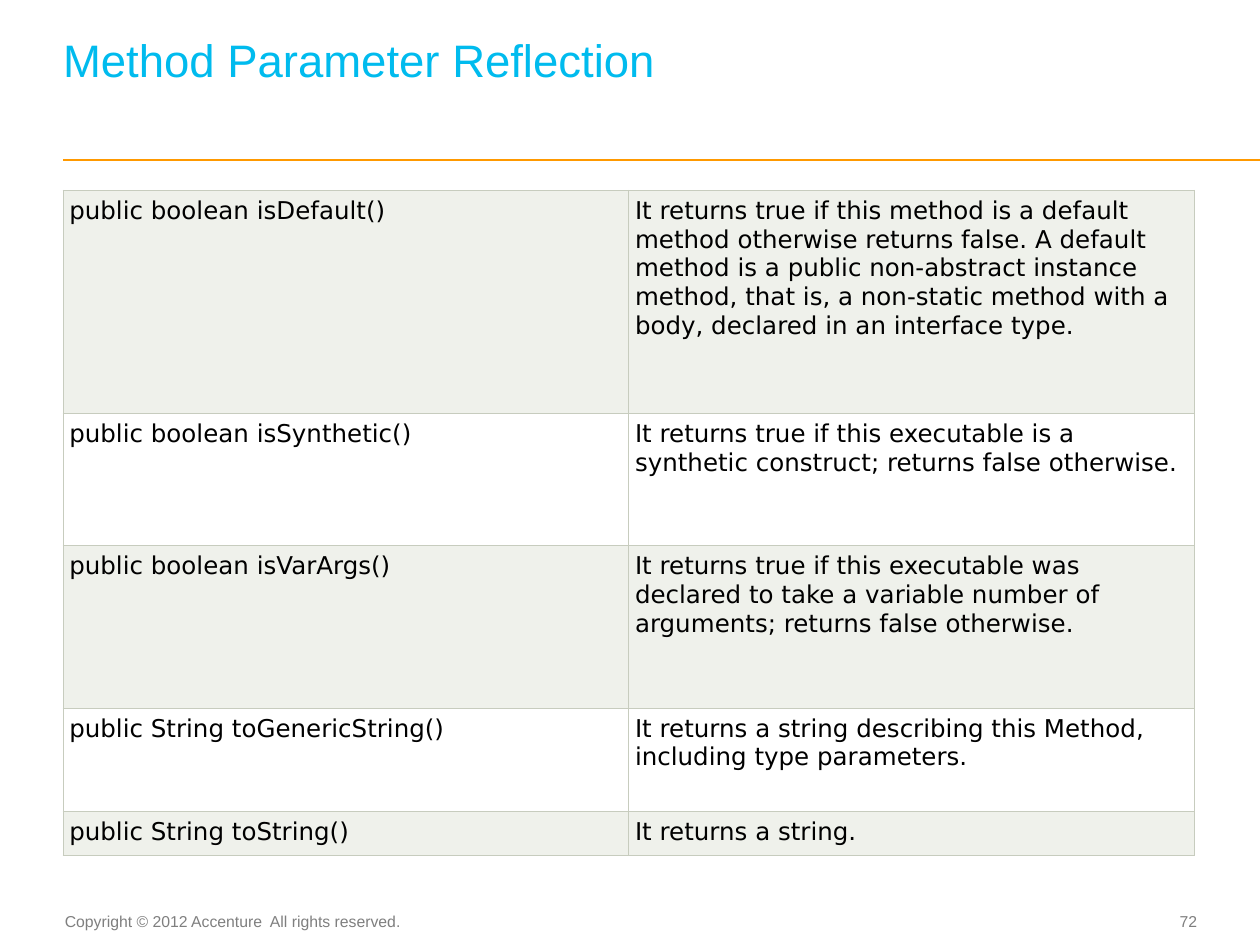
from lxml import etree
from pptx import Presentation
from pptx.dml.color import RGBColor
from pptx.enum.shapes import MSO_CONNECTOR
from pptx.enum.text import MSO_ANCHOR, PP_ALIGN
from pptx.oxml.ns import qn
from pptx.util import Inches, Pt

LEFT, CENTER, RIGHT = PP_ALIGN.LEFT, PP_ALIGN.CENTER, PP_ALIGN.RIGHT
TOP, MIDDLE, BOTTOM = MSO_ANCHOR.TOP, MSO_ANCHOR.MIDDLE, MSO_ANCHOR.BOTTOM
STRAIGHT = MSO_CONNECTOR.STRAIGHT

COLORS = {
    "title": "00BBEE", "rule": "FF9900", "footer": "7F7F7F", "text": "000000",
    "band": "EFF1EB", "plain": "FFFFFF", "border": "C7CCBE",
}
TITLE = "Method Parameter Reflection"
COPYRIGHT = "Copyright © 2012 Accenture  All rights reserved."
PAGE = "72"
METHODS = [
    ("public boolean isDefault()",
     "It returns true if this method is a default method otherwise returns false. "
     "A default method is a public non-abstract instance method, that is, "
     "a non-static method with a body, declared in an interface type.", 1.77),
    ("public boolean isSynthetic()",
     "It returns true if this executable is a synthetic construct; "
     "returns false otherwise.", 1.05),
    ("public boolean isVarArgs()",
     "It returns true if this executable was declared to take a variable number "
     "of arguments; returns false otherwise.", 1.29),
    ("public String toGenericString()",
     "It returns a string describing this Method, including type parameters.", 0.82),
    ("public String toString()", "It returns a string.", 0.35),
]


def rgb(name):
    return RGBColor.from_string(COLORS[name])


def write(tf, text, size=14, font="DejaVu Sans", color="text", align=LEFT, spacing=None):
    p = tf.paragraphs[0]
    p.alignment = align
    if spacing:
        p.line_spacing = Pt(spacing)
    r = p.add_run()
    r.text = text
    r.font.size, r.font.name = Pt(size), font
    r.font.color.rgb = rgb(color)


def set_frame(tf, insets, anchor):
    tf.word_wrap = True
    tf.vertical_anchor = anchor
    tf.margin_left, tf.margin_top, tf.margin_right, tf.margin_bottom = map(Inches, insets)


def add_footer(s, box, text, insets, anchor, align):
    tf = s.shapes.add_textbox(*map(Inches, box)).text_frame
    set_frame(tf, insets, anchor)
    write(tf, text, size=9, font="Arial", color="footer", align=align)


def add_borders(cell):
    tcPr = cell._tc.get_or_add_tcPr()
    for side in ("lnL", "lnR", "lnT", "lnB"):
        ln = etree.SubElement(tcPr, qn("a:" + side), w=str(Pt(0.6)))
        fill = etree.SubElement(ln, qn("a:solidFill"))
        etree.SubElement(fill, qn("a:srgbClr"), val=COLORS["border"])


def add_methods(s):
    height = sum(m[2] for m in METHODS)
    table = s.shapes.add_table(len(METHODS), 2, Inches(0.5), Inches(1.51),
                               Inches(8.98), Inches(height)).table
    table.first_row = table.horz_banding = False
    for i, (signature, description, row_height) in enumerate(METHODS):
        table.rows[i].height = Inches(row_height)
        for j, text in enumerate((signature, description)):
            cell = table.cell(i, j)
            cell.margin_left = cell.margin_right = Inches(0.05)
            cell.margin_top = cell.margin_bottom = Inches(0.05)
            cell.vertical_anchor = TOP
            add_borders(cell)
            cell.fill.solid()
            cell.fill.fore_color.rgb = rgb("plain" if i % 2 else "band")
            write(cell.text_frame, text)


def main():
    prs = Presentation()
    prs.slide_width, prs.slide_height = Inches(10), Inches(7.5)
    s = prs.slides.add_slide(prs.slide_layouts[5])

    title = s.shapes.title
    title.left, title.top, title.width, title.height = map(Inches, (0.5, 0.19, 8.97, 0.86))
    set_frame(title.text_frame, (0, 0, 0, 0.36), BOTTOM)
    write(title.text_frame, TITLE, size=26, font="Arial", color="title", spacing=26)

    rule = s.shapes.add_connector(STRAIGHT, Inches(0.5), Inches(1.27), Inches(10), Inches(1.27))
    rule.line.color.rgb = rgb("rule")
    rule.line.width = Pt(1)
    etree.SubElement(rule._element.spPr, qn("a:effectLst"))

    add_methods(s)
    add_footer(s, (0.49, 7.19, 2.81, 0.25), COPYRIGHT, (0, 0.05, 0.1, 0.05), TOP, CENTER)
    add_footer(s, (8.91, 7.18, 0.59, 0.27), PAGE, (0, 0, 0, 0), MIDDLE, RIGHT)
    prs.save("out.pptx")


if __name__ == "__main__":
    main()
